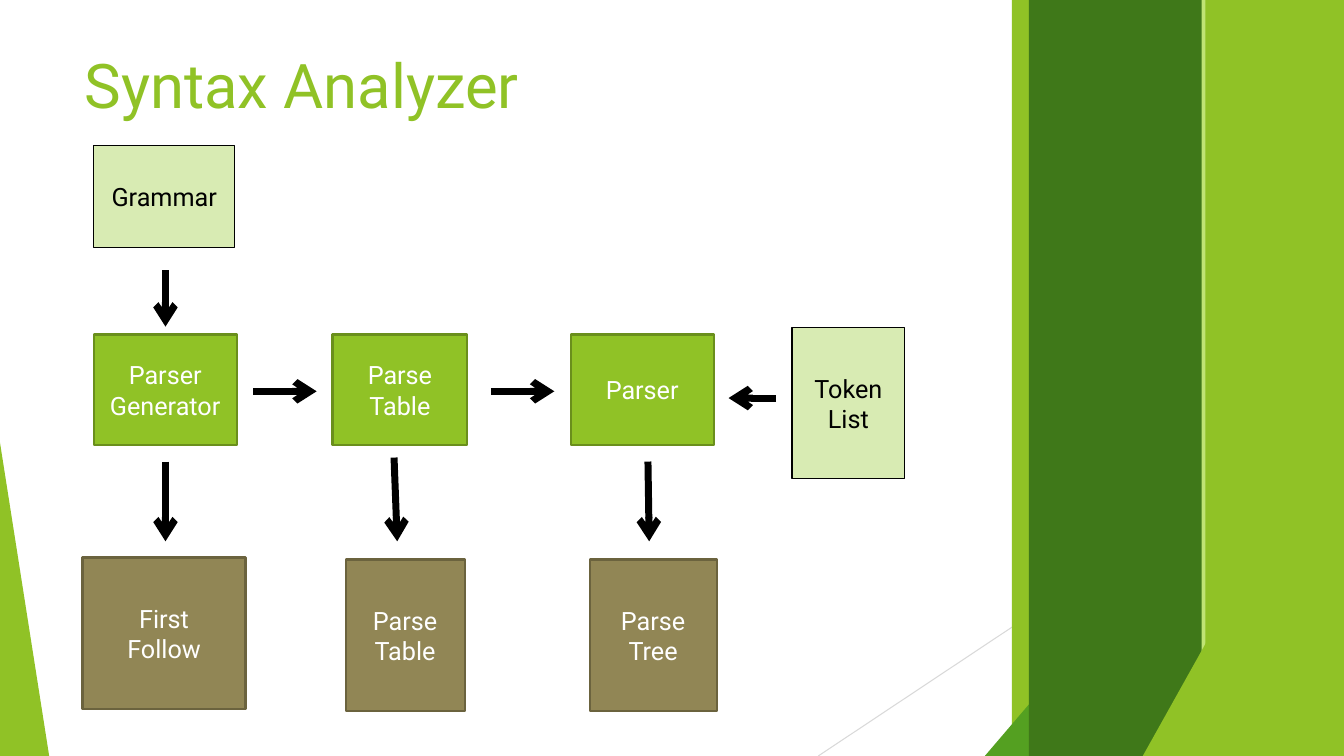
import pptx
import pptx.util
import pptx.dml.color
import pptx.enum.shapes
import pptx.enum.text
import pptx.oxml.ns
import lxml.etree

Cm = pptx.util.Cm
Pt = pptx.util.Pt
SHAPES = pptx.enum.shapes.MSO_SHAPE
ALIGN = pptx.enum.text.PP_ALIGN
ANCHOR = pptx.enum.text.MSO_ANCHOR

COLORS = {
    "green": "90C226", "green edge": "6A8F1C", "mid green": "54A021",
    "dark green": "3F7819", "light green": "C0E474", "pale green": "D8EBB3",
    "olive": "918655", "olive edge": "6B633E",
    "gray": "D9D9D9", "black": "000000", "white": "FFFFFF",
}
RGB = {name: pptx.dml.color.RGBColor.from_string(value) for name, value in COLORS.items()}
WIDTH, HEIGHT = 33.87, 19.05

deck = pptx.Presentation()
deck.slide_width, deck.slide_height = Cm(WIDTH), Cm(HEIGHT)
page = deck.slides.add_slide(deck.slide_layouts[6])


def write_text(shape, text, size=18, color="white", align=ALIGN.CENTER, anchor=ANCHOR.MIDDLE):
    """Fill a shape with text, one paragraph per line."""
    frame = shape.text_frame
    frame.word_wrap = True
    frame.vertical_anchor = anchor
    for index, line in enumerate(text.split("\n")):
        para = frame.add_paragraph() if index else frame.paragraphs[0]
        para.alignment = align
        span = para.add_run()
        span.text = line
        span.font.name, span.font.size = "Roboto", Pt(size)
        span.font.color.rgb = RGB[color]


def add_line(start, end, color, width, arrow=False):
    """Draw a straight line between two points, with an optional arrowhead."""
    line = page.shapes.add_connector(
        pptx.enum.shapes.MSO_CONNECTOR.STRAIGHT, *map(Cm, start + end))
    line.line.color.rgb, line.line.width = RGB[color], Pt(width)
    if arrow:
        head = lxml.etree.SubElement(line.line._get_or_add_ln(), pptx.oxml.ns.qn("a:tailEnd"))
        head.set("type", "arrow")
    properties = line._element.spPr
    lxml.etree.SubElement(properties, pptx.oxml.ns.qn("a:effectLst"))


# Side decoration: each piece is kind, left, top, width, color, apex
add_line((WIDTH, 10.24), (20.62, HEIGHT), "gray", 0.74)
decoration = [
    (SHAPES.RECTANGLE, 25.5, 0, WIDTH - 25.5, "green", None),
    (SHAPES.ISOSCELES_TRIANGLE, 24.82, 8.46, WIDTH - 24.82, "mid green", 1),
    (SHAPES.RECTANGLE, 25.93, 0, WIDTH - 25.93, "dark green", None),
    (SHAPES.RECTANGLE, 30.28, 0, WIDTH - 30.28, "light green", None),
    (SHAPES.RECTANGLE, 30.38, 0, WIDTH - 30.38, "green", None),
    (SHAPES.ISOSCELES_TRIANGLE, 28.8, 9.98, WIDTH - 28.8, "green", 1),
    (SHAPES.ISOSCELES_TRIANGLE, 0, 11.15, 1.24, "green", 0),
]
for kind, left, top, width, color, apex in decoration:
    piece = page.shapes.add_shape(kind, Cm(left), Cm(top), Cm(width), Cm(HEIGHT - top))
    piece.shadow.inherit = False
    piece.fill.solid()
    piece.fill.fore_color.rgb = RGB[color]
    piece.line.fill.background()
    if apex is not None:
        piece.adjustments[0] = apex

title = page.shapes.add_textbox(Cm(1.88), Cm(0.91), Cm(23.88), Cm(2.72))
title.text_frame.margin_top = Cm(0.28)
write_text(title, "Syntax Analyzer", size=44, color="green", align=ALIGN.LEFT, anchor=ANCHOR.TOP)

# Box styles: fill, edge, edge width, text color
styles = {
    "input": ("pale green", "black", 0.74, "black"),
    "step": ("green", "green edge", 1.5, "white"),
    "result": ("olive", "olive edge", 1.5, "white"),
}
boxes = [
    ("Grammar", "input", 2.36, 3.66, 3.56, 2.57),
    ("Token\nList", "input", 19.96, 8.26, 2.84, 3.81),
    ("Parser Generator", "step", 2.36, 8.43, 3.61, 2.79),
    ("Parse Table", "step", 8.38, 8.43, 3.4, 2.79),
    ("Parser", "step", 14.38, 8.43, 3.61, 2.79),
    ("First\nFollow", "result", 2.08, 14.05, 4.11, 3.81),
    ("Parse Table", "result", 8.71, 14.1, 3, 3.81),
    ("Parse\nTree", "result", 14.86, 14.1, 3.2, 3.81),
]
for text, style, *place in boxes:
    fill, edge, edge_width, text_color = styles[style]
    box = page.shapes.add_shape(SHAPES.RECTANGLE, *map(Cm, place))
    box.shadow.inherit = False
    box.fill.solid()
    box.fill.fore_color.rgb = RGB[fill]
    box.line.color.rgb, box.line.width = RGB[edge], Pt(edge_width)
    write_text(box, text, color=text_color)

arrows = [
    ((4.17, 6.81), (4.17, 8.23)),
    ((6.38, 9.86), (7.98, 9.86)),
    ((12.37, 9.86), (13.97, 9.86)),
    ((19.56, 10.03), (18.36, 10.03)),
    ((4.17, 11.63), (4.17, 13.64)),
    ((9.93, 11.53), (10.01, 13.64)),
    ((16.33, 11.63), (16.36, 13.64)),
]
for start, end in arrows:
    add_line(start, end, "black", 5, arrow=True)

deck.save("out.pptx")
